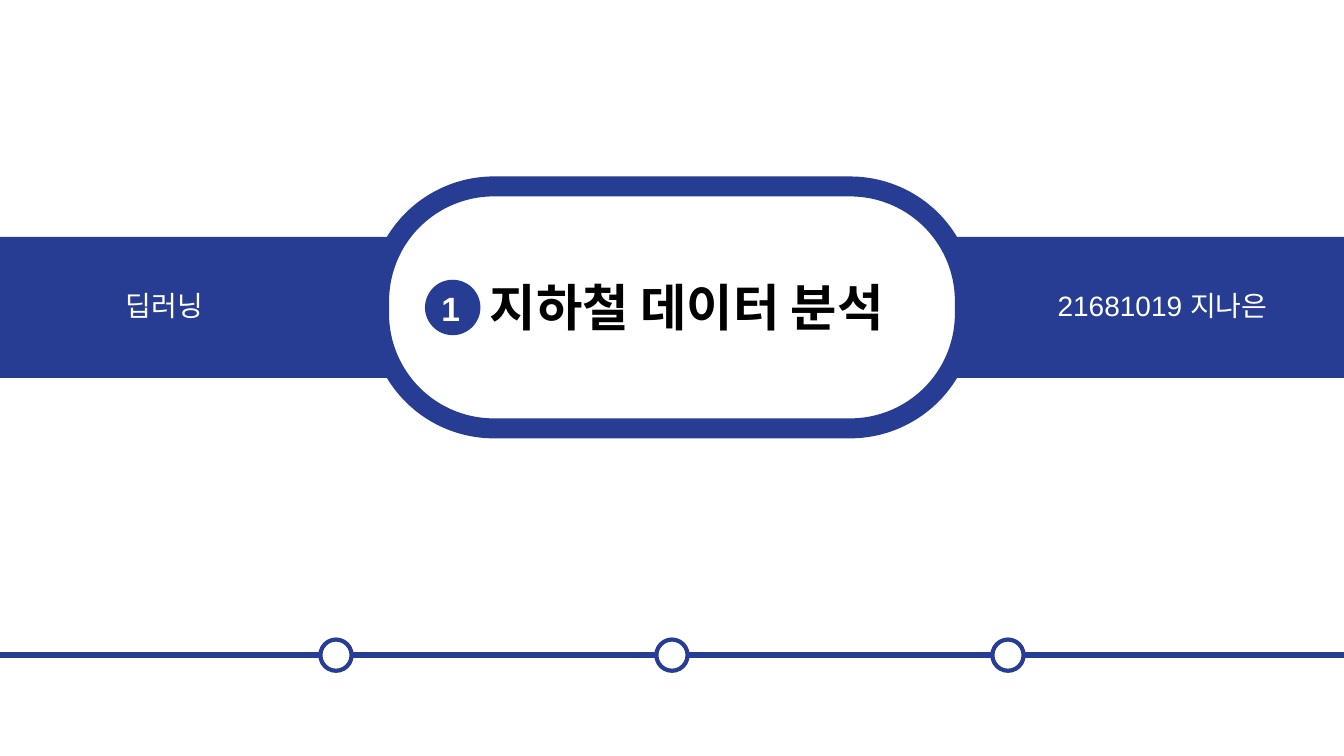
import pptx
import pptx.dml.color
import pptx.enum.shapes
import pptx.enum.text
import pptx.util
from lxml import etree
from pptx.util import Inches

SLIDE_WIDTH, SLIDE_HEIGHT = 13.33, 7.5
THEME = {
    "font": "Arial",
    "blue": "273D94",
    "white": "FFFFFF",
    "black": "000000",
    "number_size": 24,
    "title_size": 36,
    "label_size": 20,
}

# text, (left, top, width, height), size, colour, bold
LABELS = [
    ("1", (4.28, 2.81, 0.31, 0.5), "number_size", "white", True),
    ("지하철 데이터 분석", (4.76, 2.69, 4.63, 0.71), "title_size", "black", True),
    ("21681019 지나은", (10.39, 2.81, 2.45, 0.44), "label_size", "white", False),
    ("딥러닝", (1.15, 2.81, 1.12, 0.44), "label_size", "white", False),
]
BAND_CENTER = 3.05
BAND_HEIGHT = 1.4
FRAME_WIDTH, FRAME_HEIGHT = 5.81, 2.4
BADGE_CENTER, BADGE_SIZE = 4.49, 0.55
TIMELINE_TOP = 6.5
MARKER_COUNT, MARKER_SIZE = 3, 0.31

SHAPES = pptx.enum.shapes.MSO_SHAPE


def color(name):
    return pptx.dml.color.RGBColor.from_string(THEME[name])


def add_centered_shape(slide, kind, center, size, fill, line_width=0):
    """Add a shape around a center point, outlined in blue if line_width is set."""
    (x, y), (width, height) = center, size
    shape = slide.shapes.add_shape(
        kind, Inches(x - width / 2), Inches(y - height / 2), Inches(width), Inches(height)
    )
    shape.shadow.inherit = False
    shape.fill.solid()
    shape.fill.fore_color.rgb = color(fill)
    if line_width:
        shape.line.color.rgb = color("blue")
        shape.line.width = pptx.util.Pt(line_width)
    else:
        shape.line.fill.background()
    return shape


def add_label(slide, text, box, size, color_name, bold):
    shape = slide.shapes.add_textbox(*map(Inches, box))
    text_frame = shape.text_frame
    text_frame.text = text
    text_frame.word_wrap = True
    text_frame.auto_size = pptx.enum.text.MSO_AUTO_SIZE.SHAPE_TO_FIT_TEXT
    font = text_frame.paragraphs[0].runs[0].font
    font.name = THEME["font"]
    font.size = pptx.util.Pt(THEME[size])
    font.bold = bold
    font.color.rgb = color(color_name)


def add_title_band(slide):
    middle = (SLIDE_WIDTH / 2, BAND_CENTER)
    add_centered_shape(slide, SHAPES.RECTANGLE, middle, (SLIDE_WIDTH, BAND_HEIGHT), "blue")
    frame = add_centered_shape(
        slide, SHAPES.ROUNDED_RECTANGLE, middle, (FRAME_WIDTH, FRAME_HEIGHT), "white", 14.25
    )
    frame.adjustments[0] = 0.474
    add_centered_shape(
        slide, SHAPES.OVAL, (BADGE_CENTER, BAND_CENTER), (BADGE_SIZE, BADGE_SIZE), "blue"
    )
    for label in LABELS:
        add_label(slide, *label)


def add_timeline(slide):
    line = slide.shapes.add_connector(
        pptx.enum.shapes.MSO_CONNECTOR.STRAIGHT,
        0, Inches(TIMELINE_TOP), Inches(SLIDE_WIDTH), Inches(TIMELINE_TOP),
    )
    line.line.color.rgb = color("blue")
    line.line.width = pptx.util.Pt(4.5)
    properties = line._element.spPr
    etree.SubElement(properties, pptx.oxml.ns.qn("a:effectLst"))
    for index in range(1, MARKER_COUNT + 1):
        center = (SLIDE_WIDTH * index / (MARKER_COUNT + 1), TIMELINE_TOP)
        add_centered_shape(slide, SHAPES.OVAL, center, (MARKER_SIZE, MARKER_SIZE), "white", 3)


def main():
    presentation = pptx.Presentation()
    presentation.slide_width = Inches(SLIDE_WIDTH)
    presentation.slide_height = Inches(SLIDE_HEIGHT)
    slide = presentation.slides.add_slide(presentation.slide_layouts[6])
    add_title_band(slide)
    add_timeline(slide)
    presentation.save("out.pptx")


if __name__ == "__main__":
    main()
